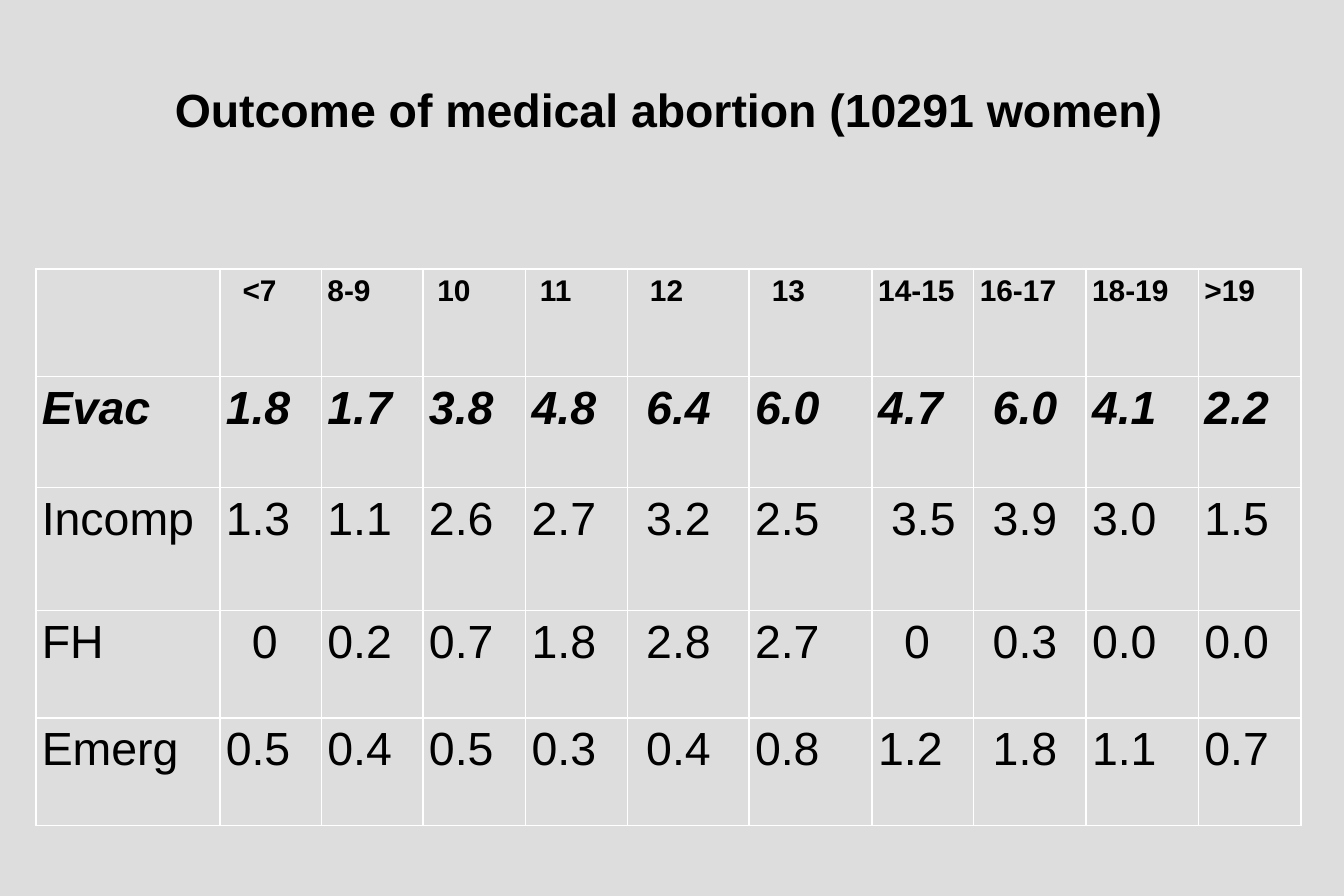
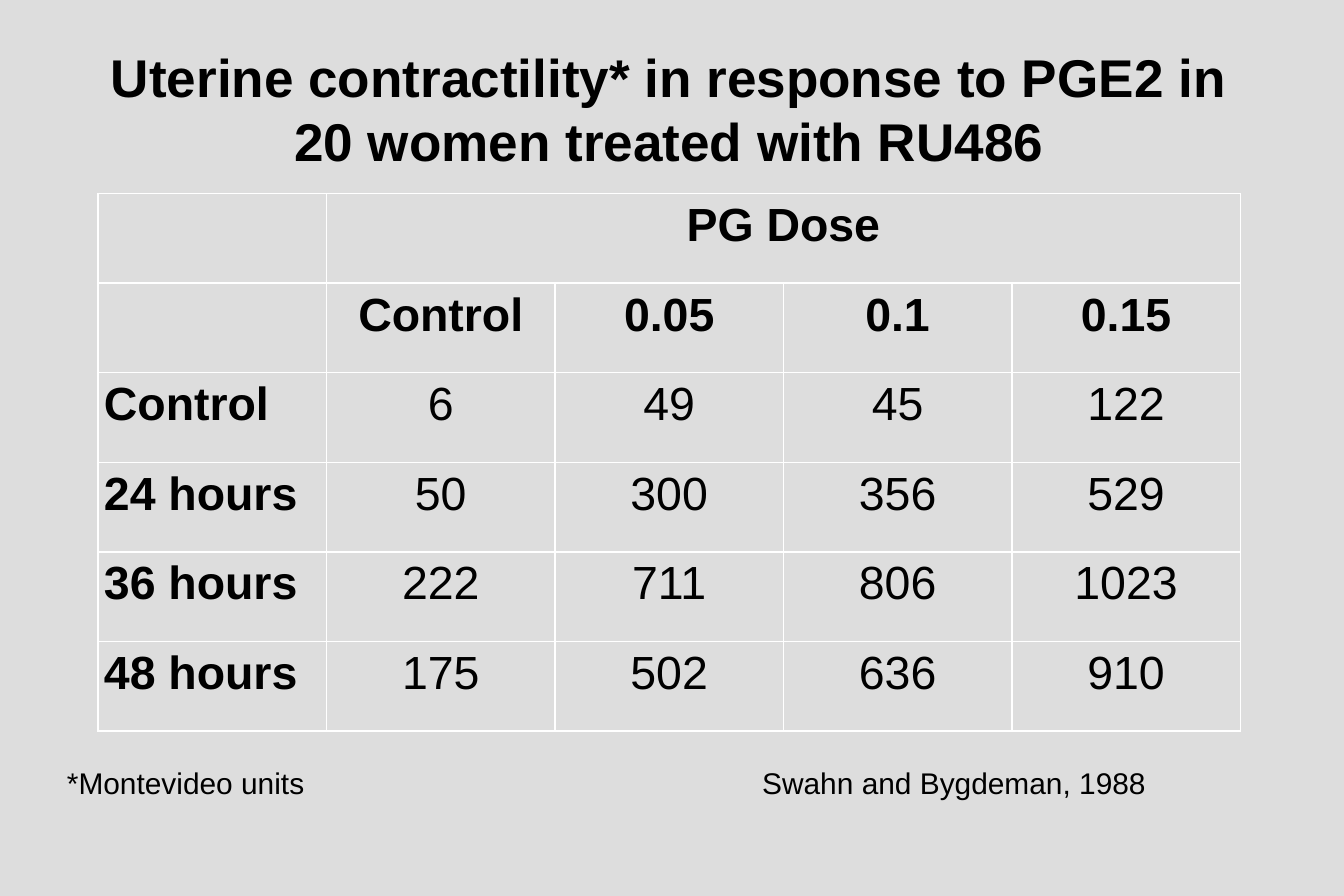
from dataclasses import dataclass, field

from lxml.etree import SubElement
from pptx import Presentation
from pptx.dml.color import RGBColor
from pptx.enum.text import MSO_ANCHOR, MSO_AUTO_SIZE, PP_ALIGN
from pptx.oxml.ns import qn
from pptx.util import Inches, Pt

COLORS = {"background": "DDDDDD", "text": "000000", "border": "FFFFFF"}
FONT = "Arial"
UNIT = 0.15  # grid step in inches: the slide is 75 columns by 50 rows
MARGIN = Inches(0.05)
SPACE = 0.28  # one indent step, as a share of the text size


@dataclass(frozen=True)
class Box:
    """A rectangle in grid columns and rows."""
    x: float
    y: float
    w: float
    h: float


@dataclass(frozen=True)
class Row:
    texts: str
    size: int = 28
    before: int = 6
    bold: bool = False
    bold_label: bool = False
    italic: bool = False
    align: PP_ALIGN | None = None
    indents: dict[int, int] = field(default_factory=dict)


def grid(n: float) -> int:
    return Inches(n * UNIT)


def rgb(name: str) -> RGBColor:
    return RGBColor.from_string(COLORS[name])


def write(tf, text: str, *, size: int, bold: bool = False, italic: bool = False,
          align: PP_ALIGN | None = None, before: int = 0) -> None:
    p = tf.paragraphs[0]
    p.alignment = align
    p.space_before = Pt(before)
    r = p.add_run()
    r.text = text
    r.font.name, r.font.size = FONT, Pt(size)
    r.font.bold, r.font.italic = bold, italic
    r.font.color.rgb = rgb("text")


def add_text(slide, box: Box, text: str, *, bottom: float = 0, **style):
    """Add a text box; bottom is extra padding in grid rows."""
    sp = slide.shapes.add_textbox(*map(grid, (box.x, box.y, box.w, box.h)))
    tf = sp.text_frame
    tf.word_wrap = True
    tf.margin_left = tf.margin_right = tf.margin_top = MARGIN
    tf.margin_bottom = MARGIN + grid(bottom)
    write(tf, text, **style)
    return tf


def add_title(slide, box: Box, text: str, size: int, bottom: float = 0) -> None:
    tf = add_text(slide, box, text, bottom=bottom, size=size, bold=True,
                  align=PP_ALIGN.CENTER)
    tf.vertical_anchor = MSO_ANCHOR.MIDDLE


def add_note(slide, box: Box, text: str) -> None:
    tf = add_text(slide, box, text, size=18, before=10)
    tf.auto_size = MSO_AUTO_SIZE.SHAPE_TO_FIT_TEXT


def style_cell(cell) -> None:
    cell.margin_left = cell.margin_right = MARGIN
    cell.margin_top = cell.margin_bottom = MARGIN
    pr = cell._tc.get_or_add_tcPr()
    for side in ("a:lnL", "a:lnR", "a:lnT", "a:lnB"):
        ln = SubElement(pr, qn(side), w=str(Pt(1)))
        fill = SubElement(ln, qn("a:solidFill"))
        SubElement(fill, qn("a:srgbClr"), val=COLORS["border"])
    cell.fill.background()


def add_grid_table(slide, x: float, y: float, widths: list[float],
                   heights: list[float], rows: list[Row]):
    """Add a table; cell texts are parted by | and the first is the row label."""
    size = map(grid, (x, y, sum(widths), sum(heights)))
    table = slide.shapes.add_table(len(heights), len(widths), *size).table
    table.first_row = table.horz_banding = False
    for col, width in zip(table.columns, widths):
        col.width = grid(width)
    for i, (line, row) in enumerate(zip(table.rows, rows)):
        line.height = grid(heights[i])
        texts = row.texts.split("|")
        for j, cell in enumerate(line.cells):
            style_cell(cell)
            if j >= len(texts) or not texts[j]:
                continue
            cell.margin_left = MARGIN + Pt(row.indents.get(j, 0) * SPACE * row.size)
            write(cell.text_frame, texts[j], size=row.size, before=row.before,
                  bold=row.bold or (row.bold_label and j == 0),
                  italic=row.italic, align=row.align if j else None)
    return table


def build_outcome(slide) -> None:
    add_title(slide, Box(5.6, 2.4, 63.4, 10.33),
              "Outcome of medical abortion (10291 women)", 28, bottom=3)
    widths = [10.27, 5.67, 5.67, 5.73, 5.67, 6.8, 6.87, 5.67, 6.27, 6.27, 5.73]
    shift = {5: 1, 8: 1}
    rows = [
        Row("|<7|8-9|10|11|12|13|14-15|16-17|18-19|>19", size=18, before=4,
            bold=True, indents={1: 2, 3: 1, 4: 1, 5: 2, 6: 2}),
        Row("Evac|1.8|1.7|3.8|4.8|6.4|6.0|4.7|6.0|4.1|2.2", bold=True,
            italic=True, indents=shift),
        Row("Incomp|1.3|1.1|2.6|2.7|3.2|2.5|3.5|3.9|3.0|1.5",
            indents={**shift, 7: 1}),
        Row("FH|0|0.2|0.7|1.8|2.8|2.7|0|0.3|0.0|0.0",
            indents={**shift, 1: 2, 7: 2}),
        Row("Emerg|0.5|0.4|0.5|0.3|0.4|0.8|1.2|1.8|1.1|0.7", indents=shift),
    ]
    add_grid_table(slide, 2, 15, widths, [6, 6.2, 6.87, 6, 6], rows)


def build_contractility(slide) -> None:
    add_title(slide, Box(5.47, 1.87, 63.75, 8.33),
              "Uterine contractility* in response to PGE2 in "
              "20 women treated with RU486", 32)
    heads = ["|PG Dose", "|Control|0.05|0.1|0.15"]
    doses = ["Control|6|49|45|122", "24 hours|50|300|356|529",
             "36 hours|222|711|806|1023", "48 hours|175|502|636|910"]
    rows = [Row(t, bold=True, align=PP_ALIGN.CENTER) for t in heads]
    rows += [Row(t, bold_label=True, align=PP_ALIGN.CENTER) for t in doses]
    table = add_grid_table(slide, 5.47, 10.8, [12.75] * 5, [5] * len(rows), rows)
    table.cell(0, 1).merge(table.cell(0, 4))
    add_note(slide, Box(3.4, 42.33, 21.53, 2.53), "*Montevideo units")
    add_note(slide, Box(42.2, 42.33, 29.93, 2.53), "Swahn and Bygdeman, 1988")


def main() -> None:
    prs = Presentation()
    prs.slide_width, prs.slide_height = grid(75), grid(50)
    fill = prs.slide_master.background.fill
    fill.solid()
    fill.fore_color.rgb = rgb("background")
    for build in (build_outcome, build_contractility):
        build(prs.slides.add_slide(prs.slide_layouts[6]))
    prs.save("out.pptx")


if __name__ == "__main__":
    main()
